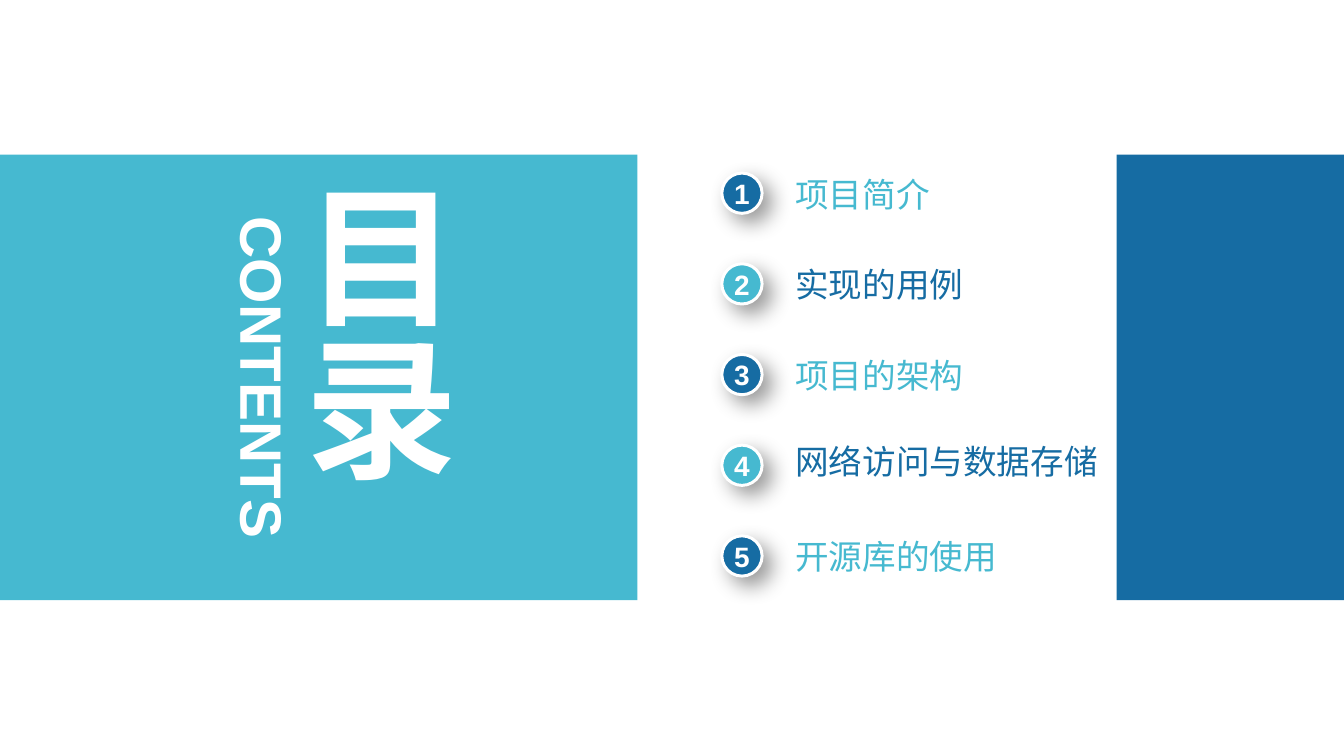
import pptx
import pptx.util
import pptx.dml.color
import pptx.enum.shapes
import pptx.enum.text
import pptx.oxml
import pptx.oxml.ns

Cm = pptx.util.Cm
Pt = pptx.util.Pt
SHAPE = pptx.enum.shapes.MSO_SHAPE
ALIGN = pptx.enum.text.PP_ALIGN
ANCHOR = pptx.enum.text.MSO_ANCHOR

COLORS = {"teal": "46B9D0", "blue": "166CA3", "white": "FFFFFF"}
SHADOW = (
    f'<a:effectLst {pptx.oxml.ns.nsdecls("a")}>'
    '<a:outerShdw blurRad="203200" dist="114300" dir="2700000" algn="tl" rotWithShape="0">'
    '<a:srgbClr val="000000"><a:alpha val="40000"/></a:srgbClr>'
    '</a:outerShdw></a:effectLst>'
)


def rgb(name):
    return pptx.dml.color.RGBColor.from_string(COLORS[name])


def write(sp, text, size, color, font="Arial", bold=False,
          align=ALIGN.LEFT, anchor=ANCHOR.MIDDLE, wrap=True):
    tf = sp.text_frame
    tf.margin_left = tf.margin_right = tf.margin_top = tf.margin_bottom = 0
    tf.word_wrap = wrap
    tf.vertical_anchor = anchor
    p = tf.paragraphs[0]
    p.alignment = align
    r = p.add_run()
    r.text = text
    r.font.size = Pt(size)
    r.font.bold = bold
    r.font.name = font
    r.font.color.rgb = rgb(color)


class Deck:
    def __init__(self, width, height):
        self.prs = pptx.Presentation()
        self.prs.slide_width = Cm(width)
        self.prs.slide_height = Cm(height)
        self.s = self.prs.slides.add_slide(self.prs.slide_layouts[6])

    def shape(self, kind, x, y, w, h, fill):
        sp = self.s.shapes.add_shape(kind, Cm(x), Cm(y), Cm(w), Cm(h))
        sp.shadow.inherit = False
        sp.fill.solid()
        sp.fill.fore_color.rgb = rgb(fill)
        sp.line.fill.background()
        return sp

    def band(self, x, w, fill):
        return self.shape(SHAPE.RECTANGLE, x, 4.11, w, 11.84, fill)

    def badge(self, x, y, size, number, fill):
        sp = self.shape(SHAPE.OVAL, x, y, size, size, fill)
        sp.line.color.rgb = rgb("white")
        sp.line.width = Pt(2.25)
        effects = sp._element.spPr.find(pptx.oxml.ns.qn("a:effectLst"))
        effects.getparent().replace(effects, pptx.oxml.parse_xml(SHADOW))
        write(sp, str(number), 21.1, "white", bold=True, align=ALIGN.CENTER, wrap=False)

    def text(self, x, y, w, h, text, size, color, rotation=0, vert=None, **fmt):
        sp = self.s.shapes.add_textbox(Cm(x), Cm(y), Cm(w), Cm(h))
        sp.rotation = rotation
        write(sp, text, size, color, **fmt)
        if vert:
            sp.text_frame._txBody.bodyPr.set("vert", vert)


deck = Deck(35.71, 20.09)
deck.band(-0.08, 17.02, "teal")
deck.band(29.67, 6.11, "blue")

title = {"bold": True, "align": ALIGN.CENTER}
deck.text(7.54, 4.78, 4.93, 10.54, "目录", 115, "white", vert="eaVert", **title)
deck.text(2.41, 9.09, 9.17, 1.88, "CONTENTS", 44, "white",
          rotation=90, anchor=ANCHOR.TOP, **title)

items = [
    ("项目简介", 0),
    ("实现的用例", 0),
    ("项目的架构", 0),
    ("网络访问与数据存储", -0.11),
    ("开源库的使用", 0),
]
for i, (label, shift) in enumerate(items):
    y = 4.6 + 2.41 * i
    badge, ink = ("blue", "teal") if i % 2 == 0 else ("teal", "blue")
    deck.badge(19.18, y, 1.07, i + 1, badge)
    deck.text(21.13, y + shift, 8.53, 1.09, label, 25.3, ink)

deck.prs.save("out.pptx")
